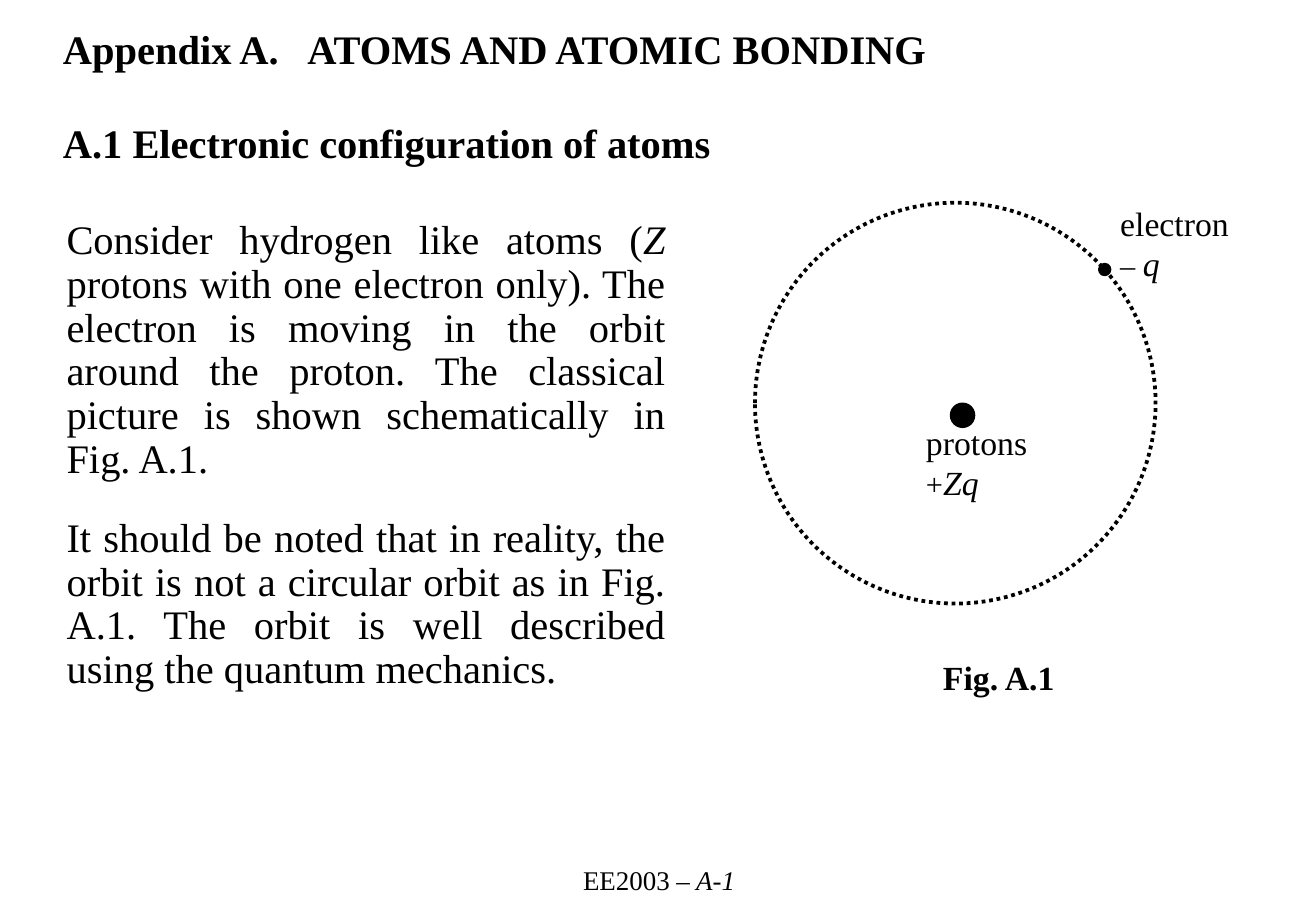
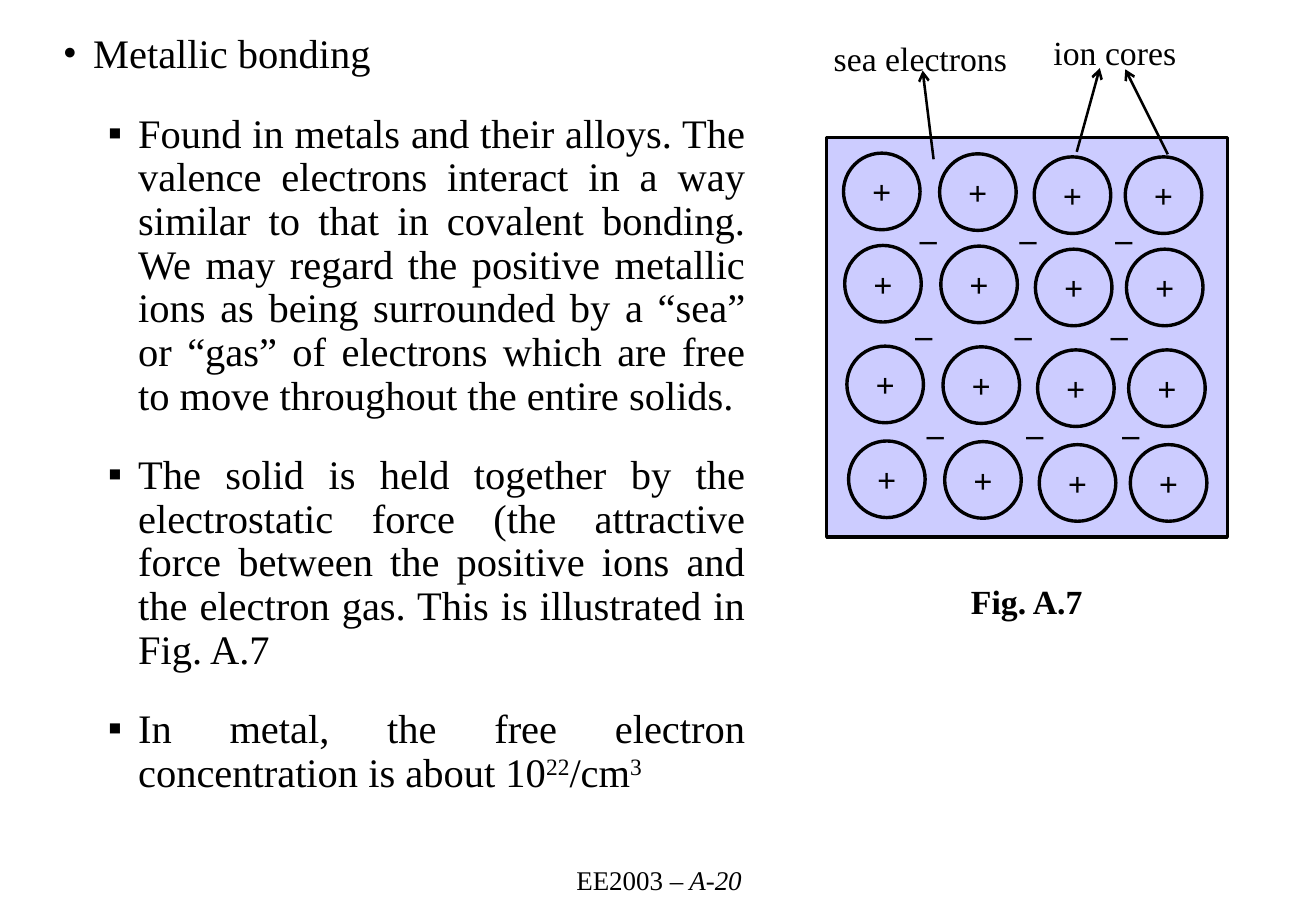
from dataclasses import dataclass
from typing import NamedTuple

from lxml.etree import SubElement
from pptx import Presentation
from pptx.dml.color import RGBColor
from pptx.enum.dml import MSO_LINE_DASH_STYLE as Dash
from pptx.enum.shapes import MSO_CONNECTOR as Connector, MSO_SHAPE as Preset
from pptx.enum.text import MSO_ANCHOR as Anchor, PP_ALIGN as Align
from pptx.oxml.ns import qn
from pptx.util import Pt


@dataclass(frozen=True)
class Theme:
    """Colours, font and type sizes of the deck."""
    font: str = "Times New Roman"
    ink: RGBColor = RGBColor(0, 0, 0)
    sea: RGBColor = RGBColor(0xCC, 0xCC, 0xFF)
    body: int = 24
    label: int = 20
    sign: int = 18
    footer: int = 16


class Box(NamedTuple):
    """A rectangle in points."""
    left: float
    top: float
    width: float
    height: float

    def inside(self, dx, dy, width, height):
        """Return a box offset from this one's top left corner."""
        return Box(self.left + dx, self.top + dy, width, height)

    def emu(self):
        """Return the four lengths for python-pptx."""
        return [Pt(length) for length in self]


THEME = Theme()
PAGE = Box(0, 0, 780.48, 540)
ITALIC = {"italic": True}
SUPERSCRIPT = {"baseline": 30000}
SIGN = {"size": THEME.sign}
DISC, SQUARE = ("•", 0, 18), ("▪", 1, 44.64)
HANG = 18


def add_bullet(paragraph, char, level, margin):
    """Give a paragraph a hanging bullet."""
    props = paragraph._p.get_or_add_pPr()
    props.set("marL", str(Pt(margin)))
    props.set("indent", str(-Pt(HANG)))
    colour = SubElement(props, qn("a:buClr"))
    SubElement(colour, qn("a:srgbClr"), val=str(THEME.ink))
    SubElement(props, qn("a:buFont"), typeface=THEME.font)
    SubElement(props, qn("a:buChar"), char=char)
    paragraph.level = level


def write(frame, *paragraphs, size=THEME.label, bold=False, align=Align.LEFT,
          anchor=Anchor.TOP, wrap=True, spaced=False, bullets=(), tab=None):
    """Fill a text frame; a paragraph is a string or a list of (text, format) runs."""
    frame.word_wrap = wrap
    frame.vertical_anchor = anchor
    for index, content in enumerate(paragraphs):
        paragraph = frame.add_paragraph() if index else frame.paragraphs[0]
        if bullets:
            add_bullet(paragraph, *bullets[index])
        if tab:
            stops = SubElement(paragraph._p.get_or_add_pPr(), qn("a:tabLst"))
            SubElement(stops, qn("a:tab"), pos=str(Pt(tab)), algn="l")
        paragraph.alignment = align
        if spaced:
            paragraph.line_spacing = 0.9
            paragraph.space_before = Pt(15 if index else 0)
            paragraph.space_after = Pt(6)
        runs = [(content, {})] if isinstance(content, str) else content
        for text, style in runs:
            run = paragraph.add_run()
            run.text = text
            run.font.name = THEME.font
            run.font.size = Pt(style.get("size", size))
            run.font.bold = bold
            run.font.italic = style.get("italic", False)
            run.font.color.rgb = THEME.ink
            if "baseline" in style:
                run._r.get_or_add_rPr().set("baseline", str(style["baseline"]))


def add_text(slide, box, *paragraphs, **style):
    """Place a text box."""
    write(slide.shapes.add_textbox(*box.emu()).text_frame, *paragraphs, **style)


def add_outline(slide, preset, box, width, fill=None, dash=None):
    """Place a preset shape outlined in ink."""
    shape = slide.shapes.add_shape(preset, *box.emu())
    shape.shadow.inherit = False
    if fill is None:
        shape.fill.background()
    else:
        shape.fill.solid()
        shape.fill.fore_color.rgb = fill
    shape.line.color.rgb = THEME.ink
    shape.line.width = Pt(width)
    if dash:
        shape.line.dash_style = dash
    return shape


def add_arrow(slide, box, start, end):
    """Draw an arrow between two points given relative to a box."""
    ends = [Pt(box[axis] + point[axis]) for point in (start, end) for axis in (0, 1)]
    arrow = slide.shapes.add_connector(Connector.STRAIGHT, *ends)
    arrow.line.color.rgb = THEME.ink
    arrow.line.width = Pt(1.5)
    props = arrow._element.spPr
    SubElement(props.find(qn("a:ln")), qn("a:tailEnd"), type="arrow")
    SubElement(props, qn("a:effectLst"))


def add_page(deck, number):
    """Add a blank slide with the course footer."""
    slide = deck.slides.add_slide(deck.slide_layouts[6])
    add_text(slide, PAGE.inside(307.4, 508.3, 167, 26.6),
             [("EE2003", {}), (f" – A-{number}", ITALIC)],
             size=THEME.footer, align=Align.CENTER, anchor=Anchor.MIDDLE, wrap=False)
    return slide


def add_caption(slide, box, text):
    """Place a bold figure caption."""
    add_text(slide, box, text, bold=True, wrap=False)


def draw_atom(slide, box):
    """Draw the nucleus, the orbit and its electron."""
    add_text(slide, box.inside(209.5, -3.6, 108, 43.2),
             "electron", [("– ", SIGN), ("q", ITALIC)])
    for dx, dy, size in ((115.9, 118.8, 14.4), (203.8, 36, 7.2)):
        add_outline(slide, Preset.OVAL, box.inside(dx, dy, size, size), 0.75, THEME.ink)
    add_text(slide, box.inside(94.3, 126, 89.3, 56.2),
             "protons", [("+", SIGN), ("Zq", ITALIC)])
    add_outline(slide, Preset.OVAL, box, 2.25, dash=Dash.ROUND_DOT)
    add_caption(slide, box.inside(104.4, 265.7, 81.4, 31.7), "Fig. A.1")


def draw_metal(slide, box):
    """Draw the ion cores in their sea of electrons."""
    add_outline(slide, Preset.RECTANGLE, box, 2, THEME.sea)
    for row_top, drift in ((9.4, 0), (64.1, 0.7), (123.8, 2), (180, 3)):
        for column_left, drop in ((10, 0), (67, 0.4), (123.1, 2.2), (177.1, 2.2)):
            ion = add_outline(slide, Preset.OVAL, box.inside(
                column_left + drift, row_top + drop, 45.4, 45.4), 2)
            frame = ion.text_frame
            frame.margin_left = frame.margin_right = 0
            frame.margin_top = frame.margin_bottom = 0
            write(frame, "+", bold=True, align=Align.CENTER,
                  anchor=Anchor.MIDDLE, wrap=False)
    for row_top, shift in ((44.3, 0), (101.3, -2.7), (159.5, 4.1)):
        for column_left in (48.2, 107.3, 164.2):
            add_text(slide, box.inside(column_left + shift, row_top, 24.5, 31.7),
                     "–", bold=True, wrap=False)
    add_caption(slide, box.inside(78.5, 259.2, 81.4, 31.7), "Fig. A.7")
    add_text(slide, box.inside(127.4, -66.2, 87.1, 31.7), "ion cores", wrap=False)
    add_text(slide, box.inside(-2.9, -62.6, 117.4, 31.7), "sea electrons", wrap=False)
    for start, end in (((148.3, 8.6), (162, -41)),
                       ((63.4, 13), (56.9, -39.6)),
                       ((202.3, 10.1), (177.1, -40.3))):
        add_arrow(slide, box, start, end)


def build_atoms(deck):
    """Build the slide on electronic configuration."""
    slide = add_page(deck, 1)
    add_text(slide, PAGE.inside(30.2, 16.6, 726.5, 24.5),
             "Appendix A.\tATOMS AND ATOMIC BONDING",
             size=THEME.body, bold=True, anchor=Anchor.MIDDLE, tab=145)
    add_text(slide, PAGE.inside(30.2, 66.2, 715, 36),
             "A.1 Electronic configuration of atoms",
             size=THEME.body, bold=True, align=Align.JUSTIFY)
    add_text(slide, PAGE.inside(32.4, 126.7, 369.4, 287.3),
             [("Consider hydrogen like atoms (", {}), ("Z", ITALIC),
              (" protons with one electron only). The electron is moving in the "
               "orbit around the proton. The classical picture is shown "
               "schematically in Fig. A.1.", {})],
             "It should be noted that in reality, the orbit is not a circular orbit "
             "as in Fig. A.1. The orbit is well described using the quantum mechanics.",
             size=THEME.body, align=Align.JUSTIFY, spaced=True)
    draw_atom(slide, PAGE.inside(447.8, 120.2, 237.6, 237.6))


def build_metallic(deck):
    """Build the slide on metallic bonding."""
    slide = add_page(deck, 20)
    add_text(slide, PAGE.inside(30.2, 16.6, 419, 458.6),
             "Metallic bonding",
             "Found in metals and their alloys. The valence electrons interact in a "
             "way similar to that in covalent bonding. We may regard the positive "
             "metallic ions as being surrounded by a “sea” or “gas” of electrons "
             "which are free to move throughout the entire solids.",
             "The solid is held together by the electrostatic force (the attractive "
             "force between the positive ions and the electron gas. This is "
             "illustrated in Fig. A.7",
             [("In metal, the free electron concentration is about 10", {}),
              ("22", SUPERSCRIPT), ("/cm", {}), ("3", SUPERSCRIPT)],
             size=THEME.body, align=Align.JUSTIFY, spaced=True,
             bullets=(DISC, SQUARE, SQUARE, SQUARE))
    draw_metal(slide, PAGE.inside(490.3, 81.4, 237.6, 236.9))


def main():
    """Build and save the deck."""
    deck = Presentation()
    deck.slide_width, deck.slide_height = Pt(PAGE.width), Pt(PAGE.height)
    build_atoms(deck)
    build_metallic(deck)
    deck.save("out.pptx")


if __name__ == "__main__":
    main()
